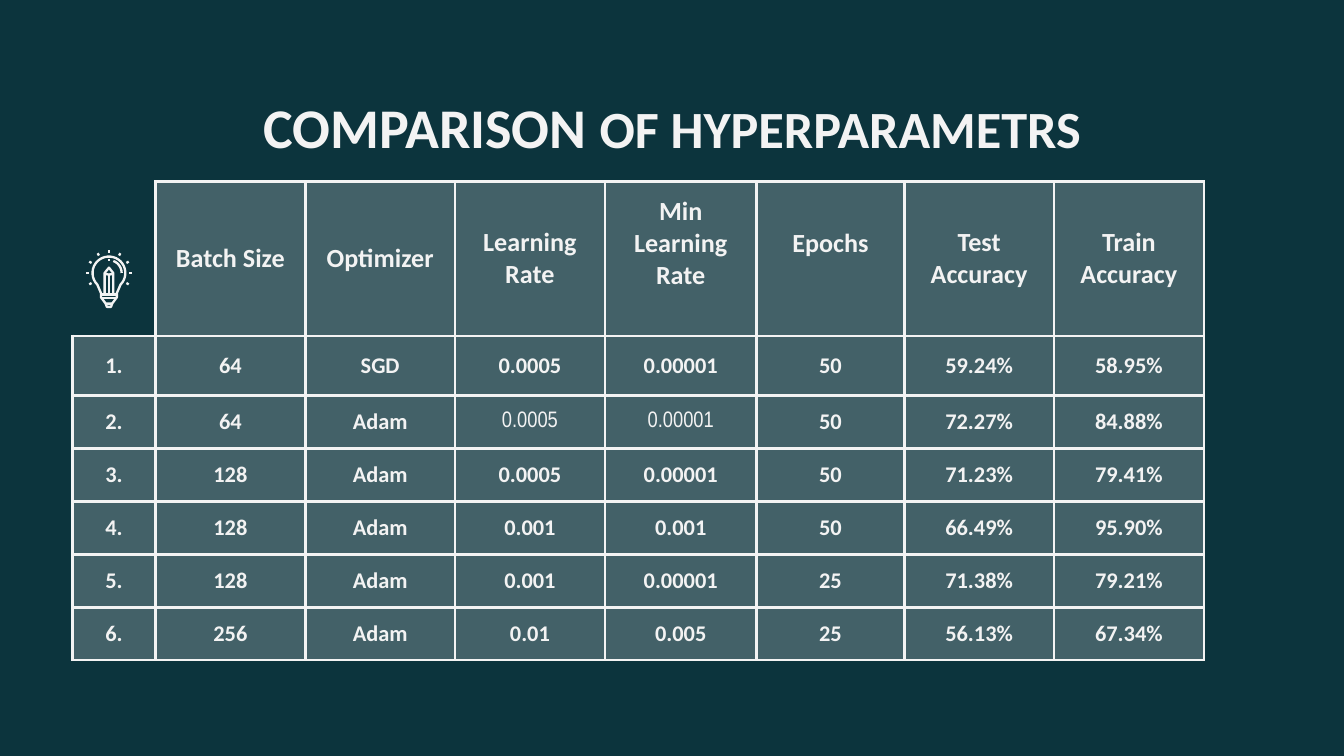
from math import cos, radians, sin

from lxml.etree import SubElement
from pptx import Presentation
from pptx.dml.color import RGBColor
from pptx.enum.shapes import MSO_CONNECTOR
from pptx.enum.text import MSO_ANCHOR, PP_ALIGN
from pptx.oxml.ns import qn
from pptx.util import Cm, Pt

DARK = RGBColor(0x0C, 0x34, 0x3D)
LIGHT = RGBColor(0xF3, 0xF3, 0xF3)
FILL_ALPHA = 24000  # thousandths of a percent

HEADERS = ["", "Batch Size", "Optimizer", "Learning Rate", "Min Learning Rate",
           "Epochs", "Test Accuracy", "Train Accuracy"]
RUNS = [
    ["64", "SGD", "0.0005", "0.00001", "50", "59.24%", "58.95%"],
    ["64", "Adam", "0.0005", "0.00001", "50", "72.27%", "84.88%"],
    ["128", "Adam", "0.0005", "0.00001", "50", "71.23%", "79.41%"],
    ["128", "Adam", "0.001", "0.001", "50", "66.49%", "95.90%"],
    ["128", "Adam", "0.001", "0.00001", "25", "71.38%", "79.21%"],
    ["256", "Adam", "0.01", "0.005", "25", "56.13%", "67.34%"],
]
COL_WIDTHS = [1.57, 2.83, 2.83, 2.83, 2.87, 2.79, 2.83, 2.83]
ROW_HEIGHTS = [2.92, 1.13] + [1.0] * 5
NARROW_CELLS = {(2, 3), (2, 4)}
RAISED_HEADERS = {"Min Learning Rate", "Epochs"}


def add_text(p, text, size=12, font="Calibri", bold=True, color=LIGHT):
    p.alignment = PP_ALIGN.CENTER
    r = p.add_run()
    r.text = text
    r.font.size = Pt(size)
    r.font.name = font
    r.font.bold = bold
    r.font.color.rgb = color


def add_title(s, x, y, w, h):
    title = s.shapes.title
    title.left, title.top, title.width, title.height = Cm(x), Cm(y), Cm(w), Cm(h)
    tf = title.text_frame
    tf.word_wrap = True
    tf.vertical_anchor = MSO_ANCHOR.TOP
    tf.margin_left = tf.margin_right = tf.margin_top = tf.margin_bottom = Cm(0.25)
    add_text(tf.paragraphs[0], "COMPARISON ", size=30)
    add_text(tf.paragraphs[0], "OF HYPERPARAMETRS", size=28)


def set_borders(cell, visible):
    """Draw the named sides (of L, R, T, B) and clear the others."""
    tcPr = cell._tc.get_or_add_tcPr()
    for i, side in enumerate("LRTB"):
        ln = SubElement(tcPr, qn(f"a:ln{side}"), w=str(Pt(1.5)))
        tcPr.insert(i, ln)
        if side in visible:
            fill = SubElement(ln, qn("a:solidFill"))
            SubElement(fill, qn("a:srgbClr"), val=str(LIGHT))
        else:
            SubElement(ln, qn("a:noFill"))


def fill_cell(cell):
    cell.fill.solid()
    cell.fill.fore_color.rgb = LIGHT
    color = cell._tc.tcPr.find(f"{qn('a:solidFill')}/{qn('a:srgbClr')}")
    SubElement(color, qn("a:alpha"), val=str(FILL_ALPHA))


def add_results_table(s, x, y):
    rows = [HEADERS] + [[f"{i}."] + run for i, run in enumerate(RUNS, 1)]
    table = s.shapes.add_table(len(rows), len(HEADERS), Cm(x), Cm(y),
                               Cm(sum(COL_WIDTHS)), Cm(sum(ROW_HEIGHTS))).table
    table.first_row = table.horz_banding = False
    for col, width in zip(table.columns, COL_WIDTHS):
        col.width = Cm(width)
    for row, height in zip(table.rows, ROW_HEIGHTS):
        row.height = Cm(height)

    for i, values in enumerate(rows):
        for j, text in enumerate(values):
            cell = table.cell(i, j)
            cell.vertical_anchor = MSO_ANCHOR.MIDDLE
            if not text:  # open corner that holds the icon
                cell.fill.background()
                set_borders(cell, "RB")
                continue
            fill_cell(cell)
            set_borders(cell, "LRTB")
            if i < 2:
                cell.margin_top = cell.margin_bottom = Cm(0.25)
            if text in RAISED_HEADERS:
                cell.margin_bottom = Cm(0.82)
            narrow = (i, j) in NARROW_CELLS
            add_text(cell.text_frame.paragraphs[0], text, size=12 if i else 14,
                     font="Arial Narrow" if narrow else "Calibri", bold=not narrow)


def arc(radius, start, end, step=10):
    return [(radius * cos(radians(a)), -radius * sin(radians(a)))
            for a in range(start, end + 1, step)]


def add_bulb_icon(s, x, y, w):
    """Light bulb with a pencil inside; points are relative to the bulb centre."""
    cx, cy = x + w / 2, y + w / 2

    def place(points):
        return [(Cm(cx + px), Cm(cy + py)) for px, py in points]

    def outline(*contours):
        builder = s.shapes.build_freeform(*place(contours[0])[0])
        for i, points in enumerate(contours):
            start, *rest = place(points)
            if i:
                builder.move_to(*start)
            builder.add_line_segments(rest, close=False)
        sp = builder.convert_to_shape()
        sp.shadow.inherit = False
        sp.fill.background()
        sp.line.color.rgb = LIGHT
        sp.line.width = Pt(1.25)

    def line(start, end):
        (x1, y1), (x2, y2) = place([start, end])
        cn = s.shapes.add_connector(MSO_CONNECTOR.STRAIGHT, x1, y1, x2, y2)
        cn.line.color.rgb = LIGHT
        cn.line.width = Pt(1.25)
        SubElement(cn._element.spPr, qn("a:effectLst"))

    # Bulb: glass with socket, cap, two bands, pencil and its centre line
    socket = [(-0.15, 0.38), (-0.15, 0.46), (-0.06, 0.58),
              (0.06, 0.58), (0.15, 0.46), (0.15, 0.38)]
    glass = arc(0.31, -45, 225)
    outline(glass + socket + glass[:1],
            [(-0.06, 0.58), (-0.04, 0.64), (0.04, 0.64), (0.06, 0.58)],
            [(-0.15, 0.41), (0.15, 0.41)],
            [(-0.15, 0.47), (0.15, 0.47)],
            [(-0.08, 0.4), (-0.08, 0), (0, -0.1), (0.08, 0), (0.08, 0.4)],
            [(-0.08, 0.02), (0, 0.03), (0.08, 0.02)],
            [(0, 0.03), (0, 0.4)])
    # Glint
    outline(arc(0.24, 0, 70))
    line((-0.02, -0.24), (0.02, -0.24))
    # Rays
    for start, end in zip(arc(0.38, -30, 210, 30), arc(0.43, -30, 210, 30)):
        line(start, end)


def main():
    prs = Presentation()
    prs.slide_width, prs.slide_height = Cm(25.4), Cm(14.29)
    s = prs.slides.add_slide(prs.slide_layouts[5])
    s.background.fill.solid()
    s.background.fill.fore_color.rgb = DARK
    add_title(s, 2.0, 1.5, 21.4, 1.6)
    add_results_table(s, 1.37, 3.43)
    add_bulb_icon(s, 1.62, 4.72, 0.88)
    prs.save("out.pptx")


if __name__ == "__main__":
    main()
